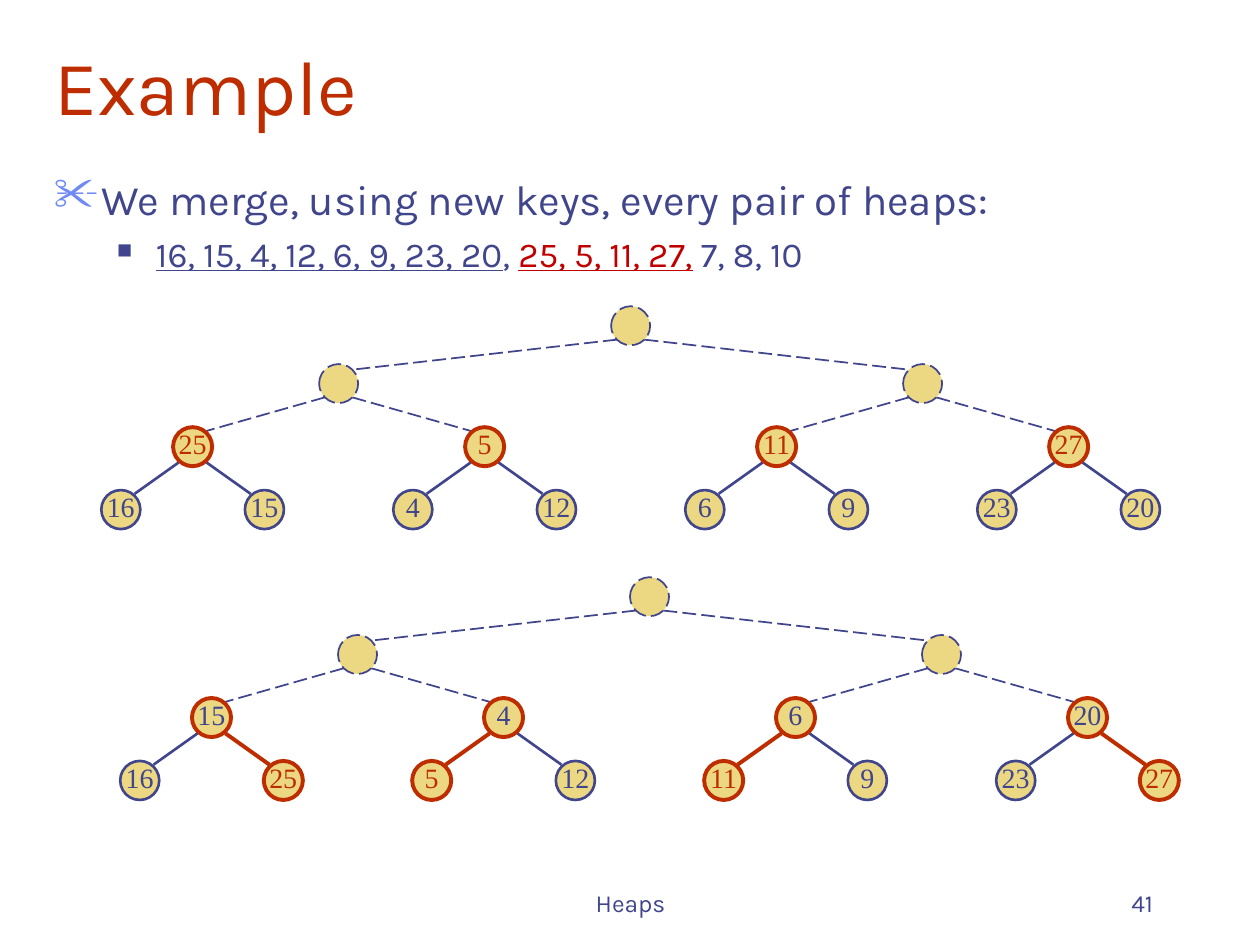
import pptx
import pptx.util
import pptx.dml.color
import pptx.enum.dml
import pptx.enum.shapes
import pptx.enum.text
import pptx.oxml.ns
import lxml.etree

Inches, Pt = pptx.util.Inches, pptx.util.Pt
ALIGN, ANCHOR = pptx.enum.text.PP_ALIGN, pptx.enum.text.MSO_ANCHOR
NAVY, RED, CRIMSON, SAND, BLUE = "40458C", "BE2D00", "C00000", "ECD882", "6F89F7"

NODE = 0.31
LEAF_OFFSET = 0.57
LEVEL_SHARES = (0.088, 0.347, 0.63, 0.912)
DASHED, THIN, THICK = (NAVY, 1, True), (NAVY, 1.5, False), (RED, 2.25, False)

# Heaps in level order; the top three nodes are still empty
EMPTY = [None] * 3
NEW_KEYS = {25, 5, 11, 27}
INSERTED = EMPTY + [25, 5, 11, 27, 16, 15, 4, 12, 6, 9, 23, 20]
MERGED = EMPTY + [15, 4, 6, 20, 16, 25, 5, 12, 11, 9, 23, 27]


def color(value):
    return pptx.dml.color.RGBColor.from_string(value)


def style_run(run, size, fill, font="Karla", underline=None):
    run.font.size = Pt(size)
    run.font.name = font
    run.font.color.rgb = color(fill)
    run.font.underline = underline


def style_line(line, style):
    fill, width, dashed = style
    line.color.rgb = color(fill)
    line.width = Pt(width)
    if dashed:
        line.dash_style = pptx.enum.dml.MSO_LINE.LONG_DASH


def set_bullet(paragraph, symbol, fill, percent, indent, hanging):
    properties = paragraph._p.get_or_add_pPr()
    properties.set("marL", str(Inches(indent)))
    properties.set("indent", str(-Inches(hanging)))
    qn = pptx.oxml.ns.qn
    bullet_color = lxml.etree.SubElement(properties, qn("a:buClr"))
    lxml.etree.SubElement(bullet_color, qn("a:srgbClr"), val=fill)
    lxml.etree.SubElement(properties, qn("a:buSzPct"), val=str(percent * 1000))
    lxml.etree.SubElement(properties, qn("a:buChar"), char=symbol)


def add_title(slide, box, text):
    title = slide.shapes.title
    title.left, title.top, title.width, title.height = map(Inches, box)
    frame = title.text_frame
    frame.text = text
    frame.auto_size = pptx.enum.text.MSO_AUTO_SIZE.NONE
    frame.vertical_anchor = ANCHOR.BOTTOM
    frame.paragraphs[0].alignment = ALIGN.LEFT
    style_run(frame.paragraphs[0].runs[0], 44, RED)


def add_body(slide, box):
    frame = slide.shapes.add_textbox(*map(Inches, box)).text_frame
    frame.word_wrap = True
    # Statement
    statement = frame.paragraphs[0]
    statement.text = "We merge, using new keys, every pair of heaps:"
    statement.space_before = Pt(6)
    style_run(statement.runs[0], 24, NAVY)
    set_bullet(statement, "✂", BLUE, 110, 0.38, 0.38)
    # Key sequence, with the keys used so far underlined
    keys = frame.add_paragraph()
    keys.level = 1
    keys.space_before = Pt(5)
    set_bullet(keys, "■", NAVY, 60, 0.81, 0.31)
    for text, fill, underline in (
        ("16, 15, 4, 12, 6, 9, 23, 20", NAVY, True),
        (", ", NAVY, False),
        ("25, 5, 11, 27,", CRIMSON, True),
        (" ", CRIMSON, False),
        ("7, 8, 10", NAVY, False),
    ):
        run = keys.add_run()
        run.text = text
        style_run(run, 20, fill, underline=underline)


def add_footer(slide, box, text, alignment):
    frame = slide.shapes.add_textbox(*map(Inches, box)).text_frame
    frame.word_wrap = True
    frame.vertical_anchor = ANCHOR.BOTTOM
    frame.text = text
    frame.paragraphs[0].alignment = alignment
    style_run(frame.paragraphs[0].runs[0], 14, NAVY)


def add_edge(slide, start, end, style):
    connector = slide.shapes.add_connector(
        pptx.enum.shapes.MSO_CONNECTOR.STRAIGHT, *map(Inches, start + end))
    style_line(connector.line, style)
    lxml.etree.SubElement(connector._element.spPr, pptx.oxml.ns.qn("a:effectLst"))


def add_node(slide, center, key, style):
    x, y = center
    node = slide.shapes.add_shape(
        pptx.enum.shapes.MSO_SHAPE.OVAL,
        *map(Inches, (x - NODE / 2, y - NODE / 2, NODE, NODE)))
    node.shadow.inherit = False
    node.fill.solid()
    node.fill.fore_color.rgb = color(SAND)
    style_line(node.line, style)
    if key is None:
        return
    frame = node.text_frame
    frame.word_wrap = False
    frame.vertical_anchor = ANCHOR.MIDDLE
    frame.margin_left = frame.margin_right = frame.margin_top = 0
    frame.margin_bottom = Inches(0.05)
    frame.text = str(key)
    frame.paragraphs[0].alignment = ALIGN.CENTER
    style_run(frame.paragraphs[0].runs[0], 16, RED if key in NEW_KEYS else NAVY,
              "Times New Roman")


def add_heap(slide, box, keys):
    left, top, width, height = box
    # Inner nodes halve the width at each level; leaves hang beside their parent
    centers = []
    for index in range(len(keys)):
        level = (index + 1).bit_length() - 1
        position = index + 1 - 2 ** level
        if level < 3:
            x = left + width * (position + 0.5) / 2 ** level
        else:
            x = centers[(index - 1) // 2][0] + (LEAF_OFFSET if position % 2 else -LEAF_OFFSET)
        centers.append((x, top + height * LEVEL_SHARES[level]))
    # Edges
    for child in range(1, len(keys)):
        parent = (child - 1) // 2
        (x1, y1), (x2, y2) = centers[parent], centers[child]
        side = 0.11 if x2 > x1 else -0.11
        start_gap = 0.11 if keys[parent] is None else 0.125
        end_gap = 0.11 if keys[child] is None else 0.125
        if keys[parent] is None:
            style = DASHED
        else:
            style = THICK if keys[child] in NEW_KEYS else THIN
        add_edge(slide, (x1 + side, y1 + start_gap), (x2 - side, y2 - end_gap), style)
    # Nodes: roots of the merged pairs and new keys stand out
    for index, (center, key) in enumerate(zip(centers, keys)):
        if key is None:
            style = DASHED
        else:
            style = THICK if index < 7 or key in NEW_KEYS else THIN
        add_node(slide, center, key, style)


def main():
    presentation = pptx.Presentation()
    presentation.slide_width, presentation.slide_height = Inches(10), Inches(7.5)
    slide = presentation.slides.add_slide(presentation.slide_layouts[5])
    add_title(slide, (0.33, 0.17, 9.5, 0.92), "Example")
    add_body(slide, (0.33, 1.33, 9.5, 5.25))
    add_footer(slide, (3.42, 6.83, 3.17, 0.5), "Heaps", ALIGN.CENTER)
    add_footer(slide, (7.17, 6.83, 2.08, 0.5), "41", ALIGN.RIGHT)
    for left, top, keys in ((0.37, 2.43, INSERTED), (0.52, 4.58, MERGED)):
        add_heap(slide, (left, top, 9.27, 1.77), keys)
    presentation.save("out.pptx")


if __name__ == "__main__":
    main()
